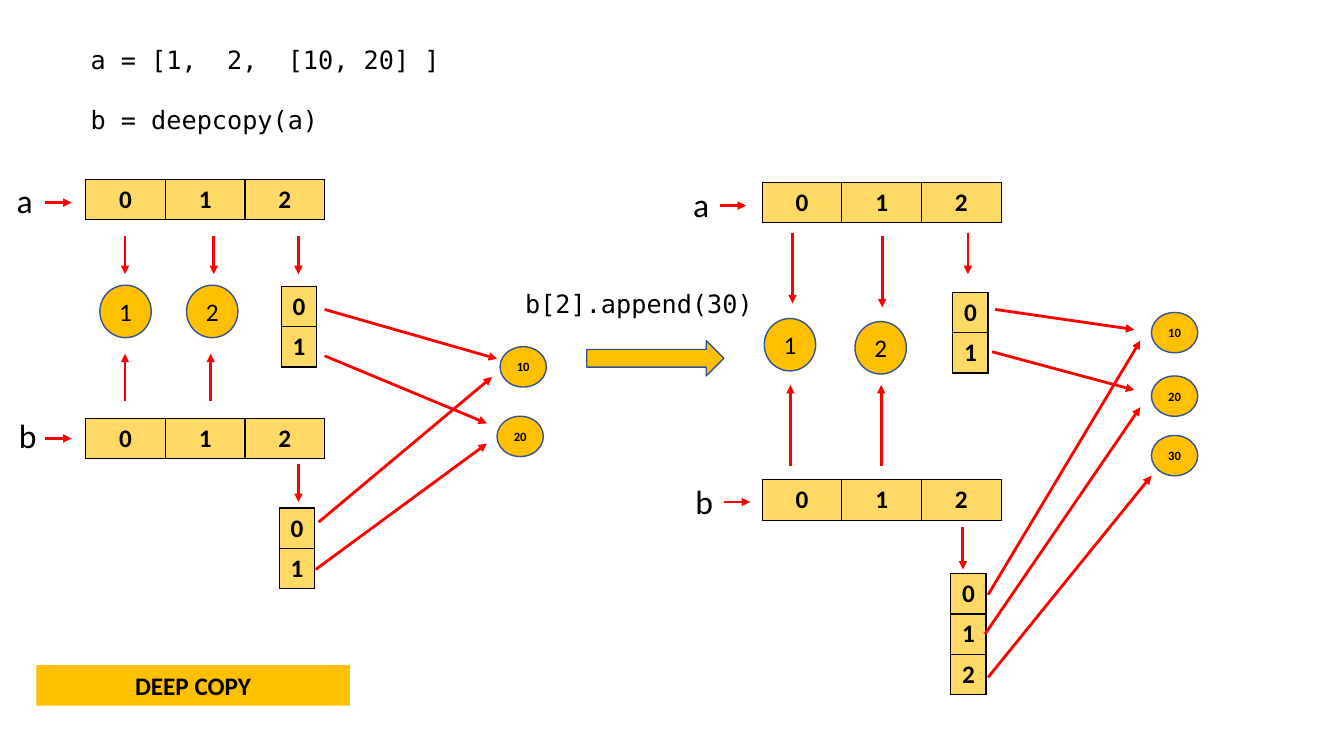
import pptx
import pptx.util
import pptx.dml.color
import pptx.enum.shapes
import pptx.enum.text
import pptx.oxml
import pptx.oxml.ns
from lxml import etree

Inches = pptx.util.Inches
Pt = pptx.util.Pt
SHAPES = pptx.enum.shapes.MSO_SHAPE
MIDDLE = pptx.enum.text.MSO_ANCHOR.MIDDLE
CENTER = pptx.enum.text.PP_ALIGN.CENTER

COLORS = {
    "cell": "FFD966",
    "value": "FFC000",
    "outline": "325491",
    "arrow": "FF0000",
    "ink": "000000",
}
SANS = "Calibri"
MONO = "DejaVu Sans Mono"
CELL_HEIGHT = 0.4


def color(name):
    return pptx.dml.color.RGBColor.from_string(COLORS[name])


def format_text(frame, size, font=SANS, bold=False, align=CENTER):
    for para in frame.paragraphs:
        para.alignment = align
        for span in para.runs:
            span.font.name = font
            span.font.size = Pt(size)
            span.font.bold = bold
            span.font.color.rgb = color("ink")


def add_text(page, left, top, width, height, text, size, font=SANS, align=CENTER):
    box = page.shapes.add_textbox(
        Inches(left), Inches(top), Inches(width), Inches(height))
    box.text_frame.word_wrap = True
    box.text_frame.text = text
    format_text(box.text_frame, size, font, align=align)
    return box


def add_filled(page, kind, left, top, width, height, text="", size=18,
               bold=False, outlined=True):
    shape = page.shapes.add_shape(
        kind, Inches(left), Inches(top), Inches(width), Inches(height))
    shape.shadow.inherit = False
    shape.fill.solid()
    shape.fill.fore_color.rgb = color("value")
    if outlined:
        shape.line.color.rgb = color("outline")
        shape.line.width = Pt(1)
    else:
        shape.line.fill.background()
    if text:
        shape.text_frame.text = text
        shape.text_frame.vertical_anchor = MIDDLE
        format_text(shape.text_frame, size, bold=bold)


def add_value(page, left, top, text):
    add_filled(page, SHAPES.OVAL, left, top, 0.51, 0.52, text)


def add_nested_value(page, left, top, text):
    add_filled(page, SHAPES.OVAL, left, top, 0.46, 0.4, text, 9, True)


def add_arrow(page, x1, y1, x2, y2):
    arrow = page.shapes.add_connector(
        pptx.enum.shapes.MSO_CONNECTOR.STRAIGHT,
        Inches(x1), Inches(y1), Inches(x2), Inches(y2))
    arrow.line.color.rgb = color("arrow")
    arrow.line.width = Pt(2)
    qn = pptx.oxml.ns.qn
    properties = arrow._element.spPr
    etree.SubElement(properties.find(qn("a:ln")), qn("a:tailEnd"), type="triangle")
    etree.SubElement(properties, qn("a:effectLst"))


def add_borders(cell):
    properties = cell._tc.get_or_add_tcPr()
    namespace = pptx.oxml.ns.nsdecls("a")
    for index, side in enumerate(("lnL", "lnR", "lnT", "lnB")):
        properties.insert(index, pptx.oxml.parse_xml(
            f'<a:{side} {namespace} w="12700"><a:solidFill>'
            f'<a:srgbClr val="{COLORS["ink"]}"/></a:solidFill></a:{side}>'))


def add_index_table(page, left, top, rows, columns, cell_width):
    table = page.shapes.add_table(
        rows, columns, Inches(left), Inches(top),
        Inches(columns * cell_width), Inches(rows * CELL_HEIGHT)).table
    table.first_row = False
    table.horz_banding = False
    for column in table.columns:
        column.width = Inches(cell_width)
    for row in table.rows:
        row.height = Inches(CELL_HEIGHT)
    for index, cell in enumerate(table.iter_cells()):
        cell.text = str(index)
        format_text(cell.text_frame, 18, bold=True)
        cell.fill.solid()
        cell.fill.fore_color.rgb = color("cell")
        add_borders(cell)


def add_outer_list(page, left, top):
    add_index_table(page, left, top, 1, 3, 0.79)


def add_inner_list(page, left, top, length):
    add_index_table(page, left, top, length, 1, 0.35)


def add_name(page, left, top, name, arrow_left, arrow_y):
    add_text(page, left, top, 0.57, 0.5, name, 24)
    add_arrow(page, arrow_left, arrow_y, arrow_left + 0.26, arrow_y)


def add_before(page):
    # Lists and their names
    add_outer_list(page, 0.85, 1.78)
    add_outer_list(page, 0.85, 4.15)
    add_inner_list(page, 2.79, 2.84, 2)
    add_inner_list(page, 2.77, 5.04, 2)
    add_name(page, -0.04, 1.74, "a", 0.45, 2.01)
    add_name(page, -0.01, 4.07, "b", 0.45, 4.35)
    # Values
    add_value(page, 0.99, 2.83, "1")
    add_value(page, 1.85, 2.83, "2")
    add_nested_value(page, 4.96, 3.44, "10")
    add_nested_value(page, 4.93, 4.13, "20")
    # References from the outer lists
    for x in (1.24, 2.12, 2.96):
        add_arrow(page, x, 2.34, x, 2.72)
    for x in (1.24, 2.09):
        add_arrow(page, x, 3.98, x, 3.51)
    add_arrow(page, 2.96, 4.6, 2.96, 4.98)
    # References from the inner lists
    for ends in ((3.22, 3.07, 4.93, 3.56), (3.22, 3.53, 4.83, 4.2),
                 (3.16, 5.18, 4.88, 3.74), (3.13, 5.65, 4.83, 4.4)):
        add_arrow(page, *ends)


def add_after(page):
    # Lists and their names
    add_outer_list(page, 7.56, 1.81)
    add_outer_list(page, 7.56, 4.76)
    add_inner_list(page, 9.45, 2.9, 2)
    add_inner_list(page, 9.43, 5.69, 3)
    add_name(page, 6.67, 1.78, "a", 7.14, 2.04)
    add_name(page, 6.7, 4.72, "b", 7.18, 4.98)
    # Values
    add_value(page, 7.58, 3.16, "1")
    add_value(page, 8.48, 3.19, "2")
    for top, text in ((3.1, "10"), (3.73, "20"), (4.32, "30")):
        add_nested_value(page, 11.42, top, text)
    # References from the outer lists
    for x, start, end in ((7.86, 2.31, 3.01), (8.75, 2.34, 3.05),
                          (9.6, 2.31, 2.72), (7.84, 4.62, 3.82),
                          (8.74, 4.62, 3.82), (9.55, 5.23, 5.65)):
        add_arrow(page, x, start, x, end)
    # References from the inner lists
    for ends in ((9.87, 3.07, 11.25, 3.27), (9.84, 3.49, 11.25, 3.87),
                 (9.8, 5.9, 11.31, 3.38), (9.77, 6.29, 11.31, 4.04),
                 (9.8, 6.72, 11.42, 4.72)):
        add_arrow(page, *ends)


def main():
    deck = pptx.Presentation()
    deck.slide_width = Inches(13.33)
    deck.slide_height = Inches(7.5)
    page = deck.slides.add_slide(deck.slide_layouts[6])
    left_align = pptx.enum.text.PP_ALIGN.LEFT

    # Code that makes the copy
    code = add_text(page, 0.8, 0.39, 3.9, 1.01,
                    "a = [1,  2,  [10, 20] ]\nb = deepcopy(a)", 18, MONO, left_align)
    code.text_frame.paragraphs[0].space_after = Pt(21)

    add_before(page)

    # Step between the two states
    add_text(page, 5.11, 2.81, 3.01, 0.4, "b[2].append(30)", 18, MONO, left_align)
    add_filled(page, SHAPES.RIGHT_ARROW, 5.82, 3.38, 1.36, 0.35)

    add_after(page)

    # Caption
    add_filled(page, SHAPES.RECTANGLE, 0.36, 6.6, 3.11, 0.4, "DEEP COPY",
               bold=True, outlined=False)
    deck.save("out.pptx")


if __name__ == "__main__":
    main()
